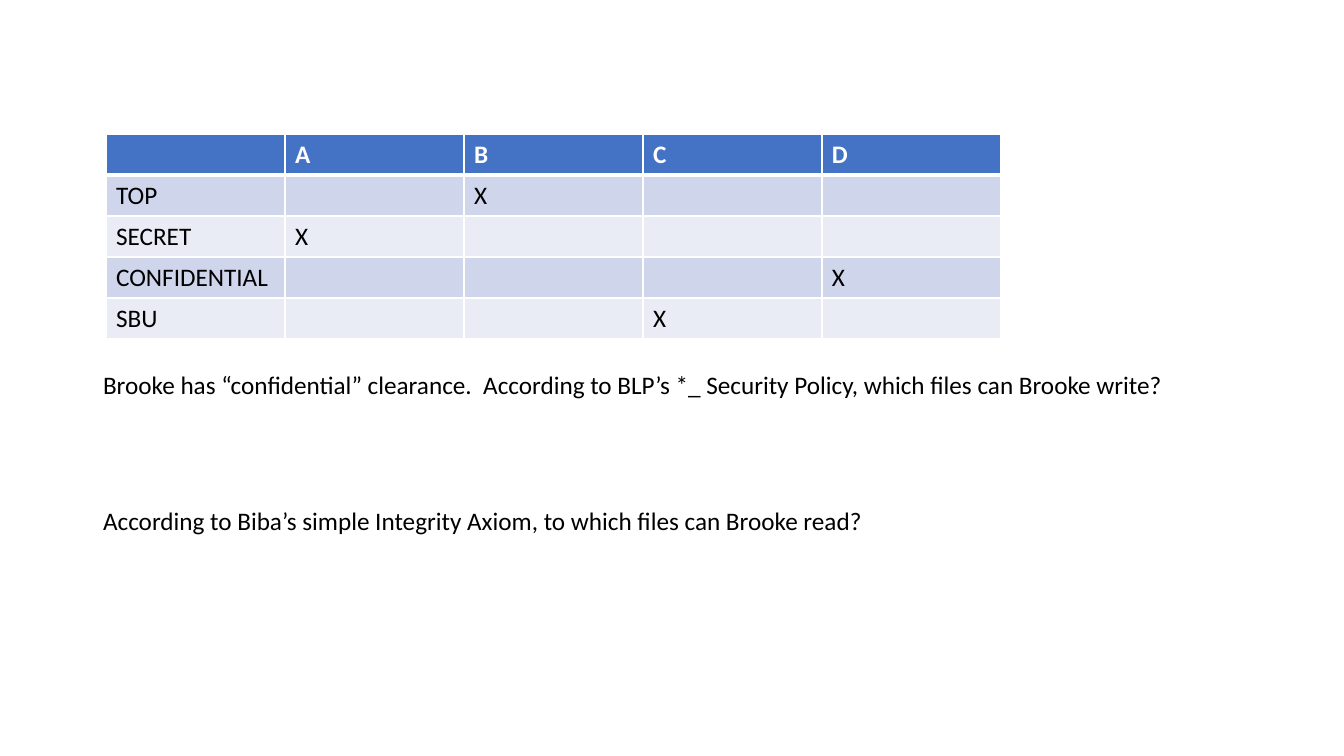
"""Build a slide with a file clearance table and two access questions."""
from lxml import etree
from pptx import Presentation
from pptx import util as u
from pptx.dml.color import RGBColor
from pptx.enum import text
from pptx.oxml import ns

WHITE = RGBColor(0xFF, 0xFF, 0xFF)
BLACK = RGBColor(0, 0, 0)
HEADER = RGBColor(0x44, 0x72, 0xC4)
BANDS = (RGBColor(0xE9, 0xEB, 0xF5), RGBColor(0xCF, 0xD5, 0xEA))

CLEARANCES = [
    ("", "A", "B", "C", "D"),
    ("TOP", "", "X", "", ""),
    ("SECRET", "X", "", "", ""),
    ("CONFIDENTIAL", "", "", "", "X"),
    ("SBU", "", "", "X", ""),
]
QUESTIONS = [
    "Brooke has “confidential” clearance.  According to BLP’s *_ Security Policy, "
    "which files can Brooke write?",
    "According to Biba’s simple Integrity Axiom, to which files can Brooke read?",
]
FONT = {"name": "Calibri", "size": u.Pt(18)}
TITLE_BOX = {"left": 93, "top": 101, "width": 1159, "height": 655}
TITLE_TOP_MARGIN = 57
QUESTION_GAP = u.Pt(78)
TABLE_LEFT, TABLE_TOP = 106, 134
COLUMN_WIDTH, ROW_HEIGHT = 179, 41


def px(length):
    return round(length * u.Inches(1) / 100.8)


def apply_format(target, values):
    for name, value in values.items():
        setattr(target, name, value)


def style_font(font, color, bold=False):
    apply_format(font, {**FONT, "bold": bold})
    font.color.rgb = color


def add_borders(cell, bottom_points):
    properties = cell._tc.get_or_add_tcPr()
    for side, points in (("L", 1), ("R", 1), ("T", 1), ("B", bottom_points)):
        line = etree.SubElement(properties, ns.qn(f"a:ln{side}"), w=str(u.Pt(points)))
        fill = etree.SubElement(line, ns.qn("a:solidFill"))
        etree.SubElement(fill, ns.qn("a:srgbClr"), val=str(WHITE))


def add_questions(page):
    title = page.shapes.title
    apply_format(title, {name: px(length) for name, length in TITLE_BOX.items()})
    frame = title.text_frame
    frame.text = "\n".join(QUESTIONS)
    apply_format(frame, {
        "word_wrap": True,
        "auto_size": text.MSO_AUTO_SIZE.NONE,
        "vertical_anchor": text.MSO_ANCHOR.MIDDLE,
        "margin_top": px(TITLE_TOP_MARGIN),
    })
    for index, para in enumerate(frame.paragraphs):
        apply_format(para, {
            "alignment": text.PP_ALIGN.LEFT,
            "line_spacing": 0.9,
            "space_before": QUESTION_GAP if index else u.Pt(0),
        })
        style_font(para.font, BLACK)


def add_clearances(page):
    rows, columns = len(CLEARANCES), len(CLEARANCES[0])
    table = page.shapes.add_table(
        rows, columns, px(TABLE_LEFT), px(TABLE_TOP),
        px(columns * COLUMN_WIDTH), px(rows * ROW_HEIGHT),
    ).table
    for row_index, row in enumerate(CLEARANCES):
        is_header = row_index == 0
        for column_index, label in enumerate(row):
            cell = table.cell(row_index, column_index)
            add_borders(cell, 3 if is_header else 1)
            cell.fill.solid()
            cell.fill.fore_color.rgb = HEADER if is_header else BANDS[row_index % 2]
            cell.text = label
            style_font(cell.text_frame.paragraphs[0].font,
                       WHITE if is_header else BLACK, is_header)


def main():
    deck = Presentation()
    deck.slide_width, deck.slide_height = px(1344), px(756)
    page = deck.slides.add_slide(deck.slide_layouts.get_by_name("Title Only"))
    add_questions(page)
    add_clearances(page)
    deck.save("out.pptx")


if __name__ == "__main__":
    main()
